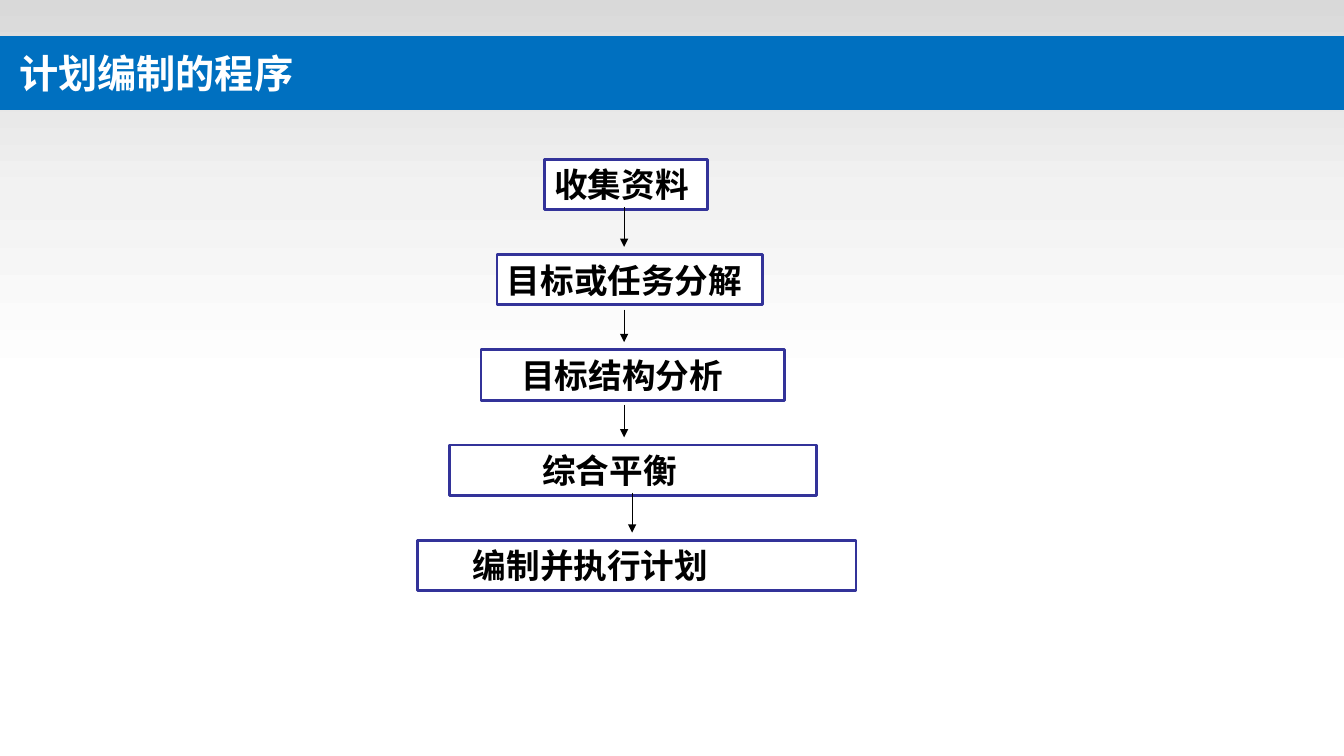
from copy import deepcopy

from lxml.etree import SubElement
from pptx import Presentation
from pptx.dml.color import RGBColor
from pptx.enum.shapes import MSO_CONNECTOR as CONNECTOR, MSO_SHAPE as SHAPE
from pptx.enum.text import MSO_ANCHOR as ANCHOR, PP_ALIGN as ALIGN
from pptx.oxml.ns import qn
from pptx.util import Inches, Pt

WIDTH, HEIGHT = 13.33, 7.5
FIRST_ROW, ROW_STEP, BOX_HEIGHT = 1.58, 0.945, 0.5
CJK_FONT = "Noto Sans CJK SC"
COLORS = {
    "grey": "D9D9D9", "pale": "F2F2F2", "white": "FFFFFF",
    "banner": "0070C0", "border": "333399", "black": "000000",
}
TITLE_FORMAT = {"size": Pt(28), "bold": True, "name": CJK_FONT}
STEP_FORMAT = {"size": Pt(24), "bold": True, "name": "Times New Roman"}

# Step text, left edge, width, text indent
STEPS = [
    ("收集资料", 5.4, 1.62, 0),
    ("目标或任务分解", 4.93, 2.63, 0),
    ("目标结构分析", 4.77, 3.01, 0.3),
    ("综合平衡", 4.46, 3.64, 0.82),
    ("编制并执行计划", 4.14, 4.35, 0.45),
]
# Arrow position across, and its start within the row
ARROWS = [(6.19, 0.5), (6.19, 0.58), (6.19, 0.58), (6.27, 0.5)]
ARROW_END = 0.92


def color(key):
    return RGBColor.from_string(COLORS[key])


def row(number):
    return FIRST_ROW + ROW_STEP * number


def add_panel(slide, left, top, width, height):
    panel = slide.shapes.add_shape(
        SHAPE.RECTANGLE, *map(Inches, (left, top, width, height)))
    panel.shadow.inherit = False
    panel.line.fill.background()
    return panel


def add_backdrop(slide):
    fill = add_panel(slide, 0, 0, WIDTH, HEIGHT * 0.51).fill
    fill.gradient()
    fill.gradient_angle = 270
    # A third stop goes between the two default ones
    first = fill.gradient_stops[0]._gs
    first.addnext(deepcopy(first))
    for stop, position, key in zip(
            fill.gradient_stops, (0, 0.5, 1), ("grey", "pale", "white")):
        stop.position = position
        stop.color.rgb = color(key)


def add_label(panel, text, fill_key, text_key, formats, indent):
    panel.fill.solid()
    panel.fill.fore_color.rgb = color(fill_key)
    frame = panel.text_frame
    frame.word_wrap = True
    frame.vertical_anchor = ANCHOR.MIDDLE
    frame.margin_left = Inches(0.1 + indent)
    frame.margin_top = frame.margin_bottom = 0
    paragraph = frame.paragraphs[0]
    paragraph.alignment = ALIGN.LEFT
    run = paragraph.add_run()
    run.text = text
    for attribute, value in formats.items():
        setattr(run.font, attribute, value)
    run.font.color.rgb = color(text_key)
    SubElement(run._r.get_or_add_rPr(), qn("a:ea"), typeface=CJK_FONT)


def add_step(slide, number, text, left, width, indent):
    box = add_panel(slide, left, row(number), width, BOX_HEIGHT)
    box.line.color.rgb = color("border")
    box.line.width = Pt(2)
    add_label(box, text, "white", "black", STEP_FORMAT, indent)


def add_arrow(slide, x, start, end):
    arrow = slide.shapes.add_connector(
        CONNECTOR.STRAIGHT, *map(Inches, (x, row(start), x, row(end))))
    arrow.line.color.rgb = color("black")
    arrow.line.width = Pt(0.75)
    SubElement(arrow.line._get_or_add_ln(), qn("a:tailEnd"), type="triangle")
    SubElement(arrow._element.spPr, qn("a:effectLst"))


def main():
    deck = Presentation()
    deck.slide_width, deck.slide_height = Inches(WIDTH), Inches(HEIGHT)
    slide = deck.slides.add_slide(deck.slide_layouts[6])

    # Backdrop and title banner
    add_backdrop(slide)
    banner = add_panel(slide, 0, 0.36, WIDTH, 0.73)
    add_label(banner, "计划编制的程序", "banner", "white", TITLE_FORMAT, 0.09)

    # Planning steps, then the arrows between them
    for number, step in enumerate(STEPS):
        add_step(slide, number, *step)
    for number, (x, start) in enumerate(ARROWS):
        add_arrow(slide, x, number + start, number + ARROW_END)

    deck.save("out.pptx")


if __name__ == "__main__":
    main()
